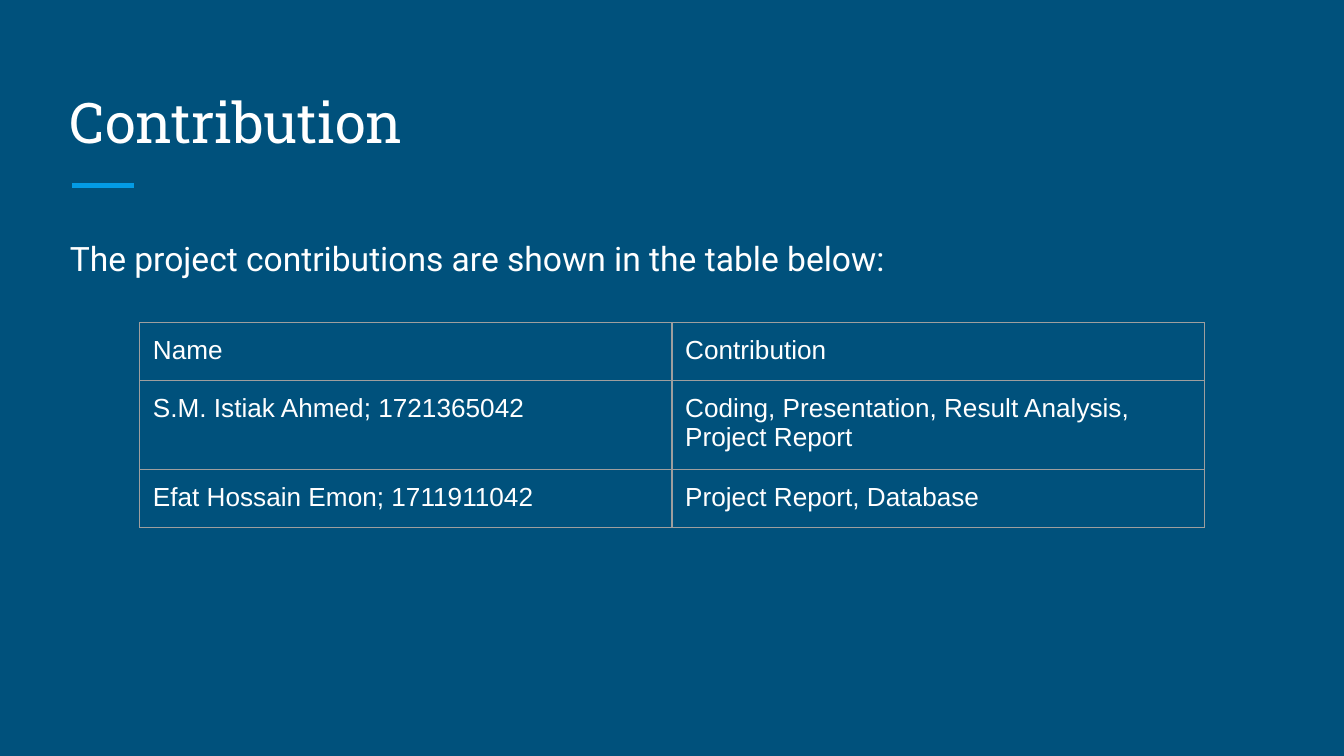
from dataclasses import dataclass

from lxml.etree import SubElement
from pptx import Presentation
from pptx.dml.color import RGBColor
from pptx.enum.shapes import MSO_CONNECTOR
from pptx.enum.text import MSO_ANCHOR
from pptx.oxml.ns import qn
from pptx.util import Cm, Pt


@dataclass(frozen=True)
class Theme:
    background: str = "00517C"
    accent: str = "039BE5"
    text: str = "FFFFFF"
    border: str = "9E9E9E"
    title_font: str = "Roboto Slab"
    body_font: str = "Roboto"
    table_font: str = "Arial"
    title_size: int = 30
    body_size: int = 18
    table_size: int = 14
    accent_width: float = 3
    border_width: float = 0.75
    inset: float = 0.25


THEME = Theme()

ROWS = [
    ("Name", "Contribution"),
    ("S.M. Istiak Ahmed; 1721365042",
     "Coding, Presentation, Result Analysis, Project Report"),
    ("Efat Hossain Emon; 1711911042", "Project Report, Database"),
]


def color(value):
    return RGBColor.from_string(value)


def set_insets(target):
    for side in ("left", "top", "right", "bottom"):
        setattr(target, f"margin_{side}", Cm(THEME.inset))


def write(tf, text, font, size):
    tf.text = text
    tf.word_wrap = True
    p = tf.paragraphs[0]
    r = p.runs[0]
    r.font.name = font
    r.font.size = Pt(size)
    r.font.color.rgb = color(THEME.text)
    return p


def add_text(s, box, text, font, size, anchor=MSO_ANCHOR.TOP):
    tf = s.shapes.add_textbox(*map(Cm, box)).text_frame
    set_insets(tf)
    tf.vertical_anchor = anchor
    return write(tf, text, font, size)


def add_heading(s, box):
    left, top, width, height = box
    add_text(s, box, "Contribution", THEME.title_font, THEME.title_size,
             MSO_ANCHOR.BOTTOM)

    # Accent rule under the title
    x, y = left + 0.3, top + height + 0.33
    rule = s.shapes.add_connector(
        MSO_CONNECTOR.STRAIGHT, Cm(x), Cm(y), Cm(x + 1.17), Cm(y))
    rule.line.color.rgb = color(THEME.accent)
    rule.line.width = Pt(THEME.accent_width)
    SubElement(rule._element.spPr, qn("a:effectLst"))


def add_intro(s, box):
    p = add_text(s, box,
                 "The project contributions are shown in the table below:",
                 THEME.body_font, THEME.body_size)
    p.line_spacing = 1.15
    p.space_after = Pt(12)


def set_borders(cell):
    tc_pr = cell._tc.get_or_add_tcPr()
    for i, tag in enumerate(("a:lnL", "a:lnR", "a:lnT", "a:lnB")):
        ln = SubElement(tc_pr, qn(tag), w=str(Pt(THEME.border_width)))
        fill = SubElement(ln, qn("a:solidFill"))
        SubElement(fill, qn("a:srgbClr"), val=THEME.border)
        tc_pr.insert(i, ln)  # borders come before the fill


def add_contributions(s, box):
    table = s.shapes.add_table(len(ROWS), len(ROWS[0]), *map(Cm, box)).table
    table.first_row = table.horz_banding = False
    for row, texts in zip(table.rows, ROWS):
        for cell, text in zip(row.cells, texts):
            write(cell.text_frame, text, THEME.table_font, THEME.table_size)
            set_insets(cell)
            cell.fill.background()
            set_borders(cell)


def main():
    prs = Presentation()
    prs.slide_width, prs.slide_height = Cm(25.4), Cm(14.29)
    s = prs.slides.add_slide(prs.slide_layouts[6])
    s.background.fill.solid()
    s.background.fill.fore_color.rgb = color(THEME.background)

    add_heading(s, (1.07, 1.27, 23.24, 1.91))
    add_intro(s, (1.07, 4.14, 23.24, 8.56))
    add_contributions(s, (2.64, 6.1, 20.12, 3.2))

    prs.save("out.pptx")


if __name__ == "__main__":
    main()
